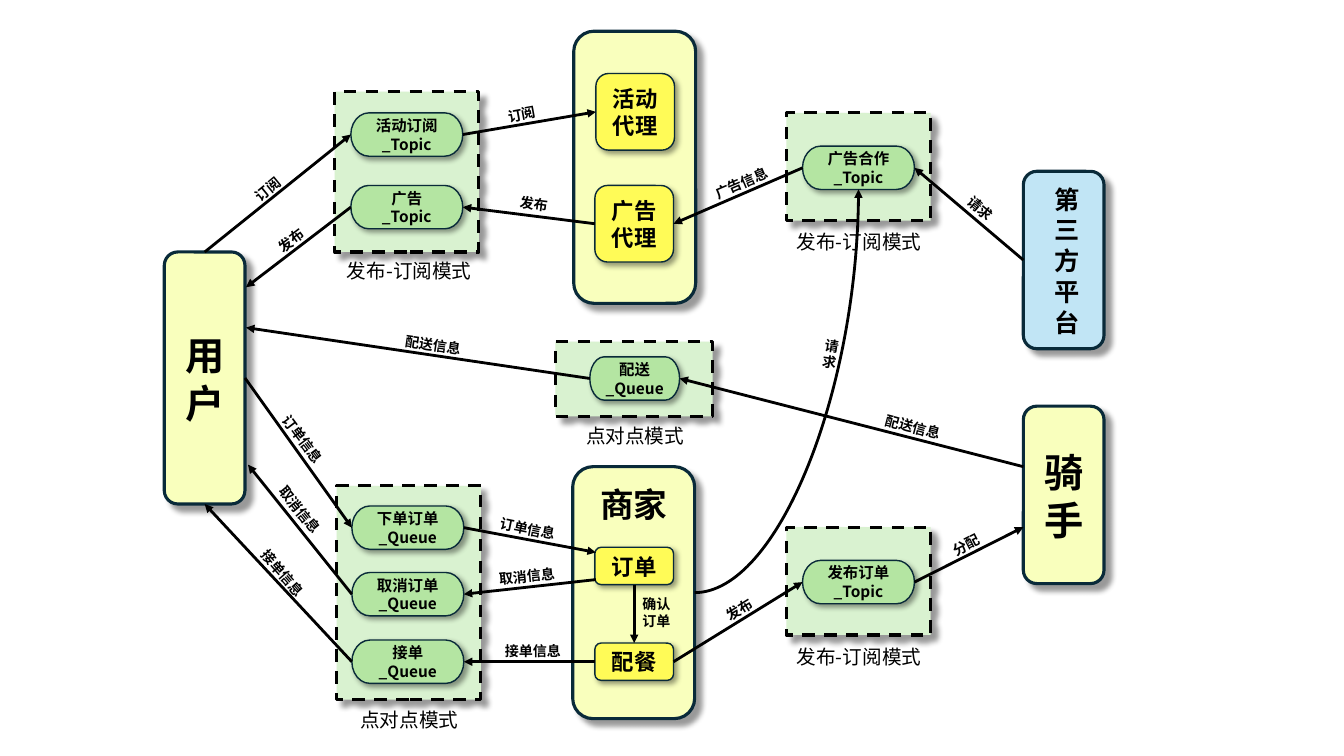
from lxml.etree import SubElement
from pptx import Presentation
from pptx.dml.color import RGBColor
from pptx.enum.dml import MSO_LINE_DASH_STYLE as Dash
from pptx.enum.shapes import MSO_AUTO_SHAPE_TYPE as Preset, MSO_CONNECTOR_TYPE as Link
from pptx.enum.text import MSO_ANCHOR as Anchor, MSO_AUTO_SIZE as AutoSize, PP_ALIGN as Align
from pptx.oxml.ns import qn
from pptx.util import Emu, Pt

PX = 9144
FONT = "Noto Sans CJK SC"
LINE_RATIO = 1.22
TOP, LEFT, BOTTOM, RIGHT = range(4)
INK, EDGE = "000000", "092A39"

ZONE = {"preset": Preset.RECTANGLE, "fill": "D9F2D0", "edge": INK, "weight": 2.25,
        "dash": Dash.DASH, "shadow": 6}
CHANNEL = {"preset": Preset.FLOWCHART_TERMINATOR, "fill": "B4E5A2", "edge": EDGE,
           "weight": 1, "dash": None, "shadow": 3}
PARTY = {"preset": Preset.ROUNDED_RECTANGLE, "fill": "F9FFBD", "edge": EDGE,
         "weight": 2.25, "dash": None, "shadow": 6}
PLATFORM = {**PARTY, "fill": "C1E5F5"}
SERVICE = {**PARTY, "fill": "FFFB57", "weight": 1, "shadow": 3}

ZONES = [
    ((332, 91, 143, 159), "发布-订阅模式", (324, 252, 164, 34)),
    ((780, 112, 143, 107), "发布-订阅模式", (770, 223, 164, 34)),
    ((551, 339, 156, 74), "点对点模式", (565, 415, 130, 34)),
    ((334, 482, 143, 212), "点对点模式", (324, 697, 164, 34)),
    ((780, 523, 143, 107), "发布-订阅模式", (770, 634, 164, 34)),
]
PARTIES = [
    ("用户", (163, 250, 80, 250), PARTY, "用户", (163, 323, 80, 104), 28),
    ("骑手", (1015, 403, 80, 176), PARTY, "骑手", (1015, 439, 80, 104), 28),
    ("平台", (1015, 170, 80, 176), PLATFORM, "第\n三\n方\n平\n台", (1036, 177, 38, 162), 18),
    ("商家", (568, 463, 121, 250), PARTY, "商家", (568, 474, 121, 47), 24),
    ("代理", (569, 31, 121, 270), PARTY, "", None, 0),
]
CHANNELS = [
    ("活动订阅", "活动订阅_Topic", 348, 112, 111),
    ("广告", "广告\n_Topic", 348, 184, 111),
    ("广告合作", "广告合作_Topic", 796, 145, 111),
    ("配送", "配送_Queue", 585, 354, 89),
    ("下单订单", "下单订单_Queue", 349, 502, 111),
    ("取消订单", "取消订单_Queue", 349, 568, 111),
    ("接单", "接单_Queue", 349, 635, 111),
    ("发布订单", "发布订单_Topic", 796, 556, 111),
]
SERVICES = [
    ("订单", 590, 543, 37),
    ("配餐", 590, 638, 37),
    ("活动代理", 591, 73, 76),
    ("广告代理", 590, 184, 76),
]
FLOWS = [
    (("用户", RIGHT), ("下单订单", LEFT), "订单信息", 250, 422, 53),
    (("下单订单", RIGHT), (591, 548), "订单信息", 473, 511, 11.5),
    ((591, 575), ("取消订单", RIGHT), "取消信息", 472, 558, 354.2),
    (("取消订单", LEFT), (246, 461), "取消信息", 247, 492, 51),
    (("配餐", LEFT), ("接单", RIGHT), "接单信息", 478, 632, 0),
    (("接单", LEFT), ("用户", BOTTOM), "接单信息", 230, 555, 48.8),
    ((1015, 463), ("配送", RIGHT), "配送信息", 855, 410, 14.7),
    (("配送", LEFT), (244, 325), "配送信息", 379, 329, 8.4),
    (("配餐", RIGHT), ("发布订单", LEFT), "发布", 683, 591, 327.9),
    (("发布订单", RIGHT), (1015, 523), "分配", 908, 527, 333.1),
    (("平台", LEFT), ("广告合作", RIGHT), "请求", 922, 193, 40.3),
    (("广告合作", LEFT), ("广告代理", RIGHT), "广告信息", 685, 168, 336.8),
    (("广告代理", LEFT), ("广告", RIGHT), "发布", 479, 189, 7),
    (("用户", TOP), ("活动订阅", LEFT), "订阅", 215, 174, 320.6),
    (("活动订阅", RIGHT), ("活动代理", LEFT), "订阅", 467, 100, 349.5),
    (("广告", LEFT), (244, 285), "发布", 238, 225, 323),
]


def px(*lengths):
    return [Emu(round(length * PX)) for length in lengths]


def colour(value):
    return RGBColor.from_string(value)


def write(frame, words, size, bold=True):
    frame.word_wrap = True
    look = {"name": FONT, "size": Pt(size), "bold": bold}
    for index, line in enumerate(words.split("\n")):
        paragraph = frame.paragraphs[0] if index == 0 else frame.add_paragraph()
        paragraph.alignment = Align.CENTER
        paragraph.line_spacing = Pt(round(size * LINE_RATIO, 1))
        run = paragraph.add_run()
        run.text = line
        for name, value in look.items():
            setattr(run.font, name, value)
        run.font.color.rgb = colour(INK)
        SubElement(run.font._element, qn("a:ea"), typeface=FONT)


def add_label(slide, words, box, size, bold=True, turn=0):
    label = slide.shapes.add_textbox(*px(*box))
    write(label.text_frame, words, size, bold)
    label.text_frame.auto_size = AutoSize.SHAPE_TO_FIT_TEXT
    label.rotation = turn


def cast_shadow(shape, distance):
    shape.shadow.inherit = False
    effects = shape.element.spPr.find(qn("a:effectLst"))
    outer = SubElement(effects, qn("a:outerShdw"), blurRad=str(Pt(4)), dist=str(Pt(distance)),
                       dir="2700000", algn="tl", rotWithShape="0")
    tint = SubElement(outer, qn("a:srgbClr"), val=INK)
    SubElement(tint, qn("a:alpha"), val="40000")


def add_block(slide, box, style, words="", size=0):
    block = slide.shapes.add_shape(style["preset"], *px(*box))
    block.fill.solid()
    block.fill.fore_color.rgb = colour(style["fill"])
    block.line.color.rgb = colour(style["edge"])
    for name, value in {"width": Pt(style["weight"]), "dash_style": style["dash"]}.items():
        setattr(block.line, name, value)
    cast_shadow(block, style["shadow"])
    if words:
        write(block.text_frame, words, size)
        block.text_frame.vertical_anchor = Anchor.MIDDLE
    return block


def locate(end, nodes):
    if end[0] not in nodes:
        return px(*end)
    node, side = nodes[end[0]], end[1]
    across = {LEFT: 0, RIGHT: node.width}.get(side, node.width // 2)
    down = {TOP: 0, BOTTOM: node.height}.get(side, node.height // 2)
    return [node.left + across, node.top + down]


def add_arrow(slide, nodes, start, end, kind=Link.STRAIGHT):
    arrow = slide.shapes.add_connector(kind, *locate(start, nodes), *locate(end, nodes))
    arrow.line.color.rgb = colour(INK)
    arrow.line.width = Pt(2)
    outline = arrow.element.spPr.find(qn("a:ln"))
    SubElement(outline, qn("a:tailEnd"), type="triangle")
    SubElement(arrow.element.spPr, qn("a:effectLst"))
    if kind == Link.CURVE:
        arrow.element.spPr.find(qn("a:prstGeom")).set("prst", "curvedConnector2")
        return
    for glue, spot in ((arrow.begin_connect, start), (arrow.end_connect, end)):
        if spot[0] in nodes:
            glue(nodes[spot[0]], spot[1])


def main():
    deck = Presentation()
    deck.slide_width, deck.slide_height = px(1333, 750)
    slide = deck.slides.add_slide(deck.slide_layouts[6])
    nodes = {}
    for box, mode, caption_box in ZONES:
        add_block(slide, box, ZONE)
        add_label(slide, mode, caption_box, 14, bold=False)
    for key, box, style, title, title_box, size in PARTIES:
        nodes[key] = add_block(slide, box, style)
        if title:
            add_label(slide, title, title_box, size)
    for key, words, left, top, width in CHANNELS:
        nodes[key] = add_block(slide, (left, top, width, 43), CHANNEL, words, 11)
    for key, left, top, height in SERVICES:
        nodes[key] = add_block(slide, (left, top, 78, height), SERVICE, key, 16)
    for start, end, message, left, top, turn in FLOWS:
        add_arrow(slide, nodes, start, end)
        add_label(slide, message, (left, top, 101, 27), 10, turn=turn)
    add_arrow(slide, nodes, ("订单", BOTTOM), ("配餐", TOP))
    add_label(slide, "确认订单", (622, 586, 58, 44), 10)
    add_arrow(slide, nodes, ("商家", RIGHT), ("广告合作", BOTTOM), Link.CURVE)
    add_label(slide, "请求", (807, 329, 31, 44), 10, turn=8.5)
    deck.save("out.pptx")


if __name__ == "__main__":
    main()
